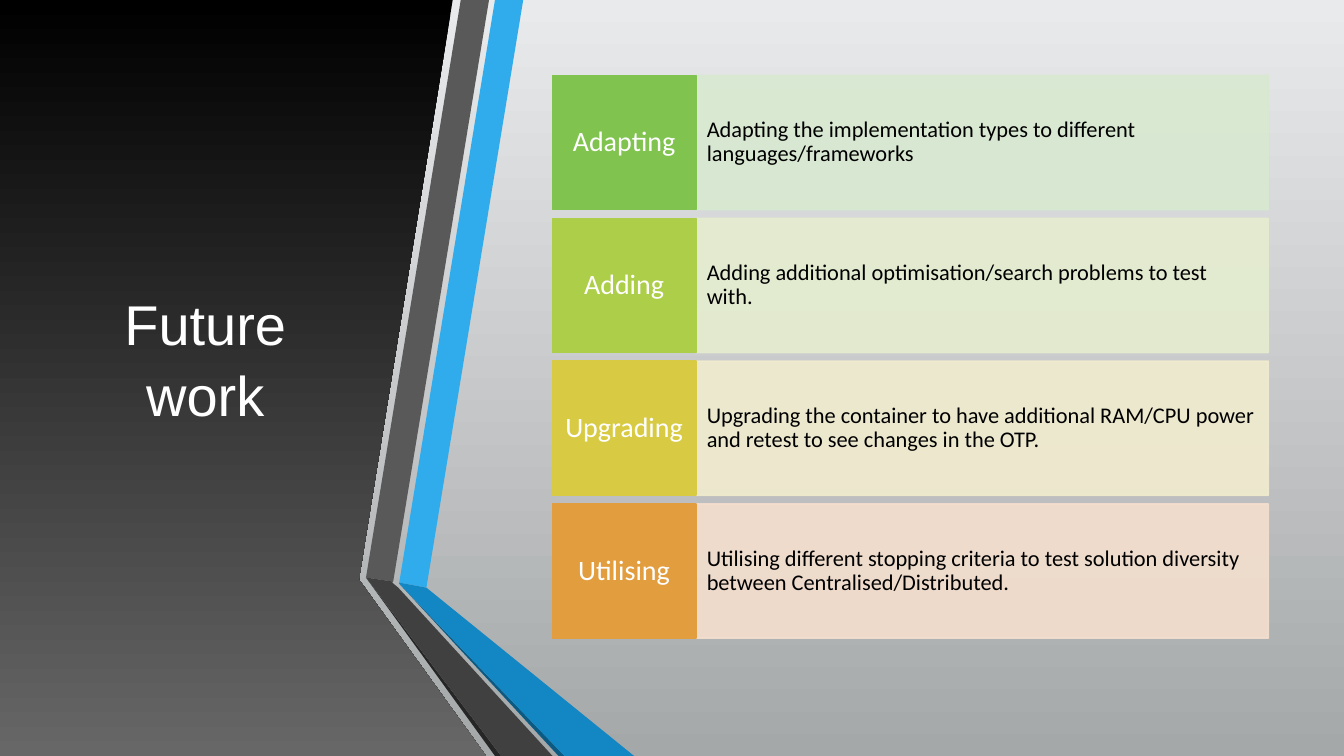
from pptx import Presentation
from pptx.dml.color import RGBColor
from pptx.enum.shapes import MSO_SHAPE
from pptx.enum.text import MSO_ANCHOR, PP_ALIGN
from pptx.oxml.ns import qn
from pptx.oxml.xmlchemy import OxmlElement
from pptx.util import Inches, Pt

RECTANGLE = MSO_SHAPE.RECTANGLE
MIDDLE = MSO_ANCHOR.MIDDLE
LEFT, CENTER = PP_ALIGN.LEFT, PP_ALIGN.CENTER

WHITE = RGBColor(0xFF, 0xFF, 0xFF)
BLACK = RGBColor(0x00, 0x00, 0x00)
PANEL_GRAY = RGBColor(0x67, 0x67, 0x67)
BACK_TOP = RGBColor(0xE9, 0xEA, 0xEB)
BACK_BOTTOM = RGBColor(0xA5, 0xA8, 0xA9)
BLUE = RGBColor(0x30, 0xAC, 0xEC)
MID_BLUE = RGBColor(0x12, 0x87, 0xC3)
DEEP_BLUE = RGBColor(0x0C, 0x5A, 0x82)
GRAY = RGBColor(0x59, 0x59, 0x59)
MID_GRAY = RGBColor(0x40, 0x40, 0x40)
DEEP_GRAY = RGBColor(0x26, 0x26, 0x26)
GREEN, PALE_GREEN = RGBColor(0x80, 0xC3, 0x4F), RGBColor(0xD8, 0xE9, 0xD0)
LIME, PALE_LIME = RGBColor(0xAD, 0xCE, 0x49), RGBColor(0xE5, 0xED, 0xCF)
YELLOW, PALE_YELLOW = RGBColor(0xD8, 0xCB, 0x43), RGBColor(0xF1, 0xEC, 0xCF)
ORANGE, PALE_ORANGE = RGBColor(0xE2, 0x9D, 0x3E), RGBColor(0xF4, 0xDF, 0xCE)


def add_outline(shapes, points):
    corners = [(Inches(x), Inches(y)) for x, y in points]
    builder = shapes.build_freeform(*corners[0], scale=1.0)
    builder.add_line_segments(corners[1:], close=True)
    outline = builder.convert_to_shape()
    outline.shadow.inherit = False
    outline.line.fill.background()
    return outline


def set_gradient(fill, top, bottom):
    fill.gradient()
    fill.gradient_angle = 270
    for stop, color in zip(fill.gradient_stops, (top, bottom)):
        stop.color.rgb = color


deck = Presentation()
deck.slide_width, deck.slide_height = Inches(13.33), Inches(7.5)
page = deck.slides.add_slide(deck.slide_layouts[6])
set_gradient(page.background.fill, BACK_TOP, BACK_BOTTOM)

panel = add_outline(page.shapes, [
    (0, 0), (4.49, 0), (3.56, 5.75), (4.82, 7.5), (0, 7.5)])
set_gradient(panel.fill, BLACK, PANEL_GRAY)

title = page.shapes.add_textbox(Inches(0.59), Inches(0.75), Inches(2.89), Inches(5.58))
frame = title.text_frame
frame.word_wrap = True
frame.vertical_anchor = MIDDLE
para = frame.paragraphs[0]
para.alignment = CENTER
para.line_spacing = 1.05
span = para.add_run()
span.text = "Future work"
span.font.name = "Arial"
span.font.size = Pt(40)
span.font.color.rgb = WHITE

bands = [
    (BLUE, [(3.96, 5.78), (4.23, 5.83), (5.19, 0), (4.91, 0)]),
    (GRAY, [(4.85, 0), (4.57, 0), (3.63, 5.73), (3.9, 5.77)]),
    (DEEP_GRAY, [(3.63, 5.73), (4.91, 7.5), (4.97, 7.5)]),
    (DEEP_BLUE, [(3.96, 5.79), (5.54, 7.5), (5.6, 7.5)]),
    (MID_BLUE, [(3.96, 5.79), (5.6, 7.5), (6.29, 7.5), (4.23, 5.83), (3.96, 5.78)]),
    (MID_GRAY, [(5.48, 7.5), (3.95, 5.83), (3.89, 5.78), (3.9, 5.77),
                (3.63, 5.73), (4.97, 7.5)]),
]
ribbon = page.shapes.add_group_shape()
for color, points in bands:
    band = add_outline(ribbon.shapes, points)
    band.fill.solid()
    band.fill.fore_color.rgb = color

tasks = [
    ("Adapting", GREEN, PALE_GREEN,
     "Adapting the implementation types to different languages/frameworks"),
    ("Adding", LIME, PALE_LIME,
     "Adding additional optimisation/search problems to test with."),
    ("Upgrading", YELLOW, PALE_YELLOW,
     "Upgrading the container to have additional RAM/CPU power "
     "and retest to see changes in the OTP."),
    ("Utilising", ORANGE, PALE_ORANGE,
     "Utilising different stopping criteria to test solution diversity "
     "between Centralised/Distributed."),
]
ROW_TOP, ROW_STEP, ROW_HEIGHT = 0.75, 1.417, 1.33

for row, (label, strong, pale, detail) in enumerate(tasks):
    top = Inches(ROW_TOP + row * ROW_STEP)
    cells = [
        (6.9, 5.68, pale, 90, detail, 16, BLACK, LEFT, 0.11, 0.34),
        (5.48, 1.42, strong, 100, label, 20, WHITE, CENTER, 0.08, 0.13),
    ]
    for left, width, color, opacity, words, size, ink, align, side, edge in cells:
        box = page.shapes.add_shape(
            RECTANGLE, Inches(left), top, Inches(width), Inches(ROW_HEIGHT))
        box.shadow.inherit = False
        box.fill.solid()
        box.fill.fore_color.rgb = color
        box.line.color.rgb = color
        box.line.width = Pt(1.25)
        if opacity < 100:
            for tint in box._element.spPr.iter(qn("a:srgbClr")):
                alpha = OxmlElement("a:alpha")
                alpha.set("val", str(opacity * 1000))
                tint.append(alpha)
        frame = box.text_frame
        frame.word_wrap = True
        frame.vertical_anchor = MIDDLE
        frame.margin_left = frame.margin_right = Inches(side)
        frame.margin_top = frame.margin_bottom = Inches(edge)
        para = frame.paragraphs[0]
        para.alignment = align
        para.line_spacing = 0.9
        span = para.add_run()
        span.text = words
        span.font.name = "Calibri"
        span.font.size = Pt(size)
        span.font.color.rgb = ink

deck.save("out.pptx")
